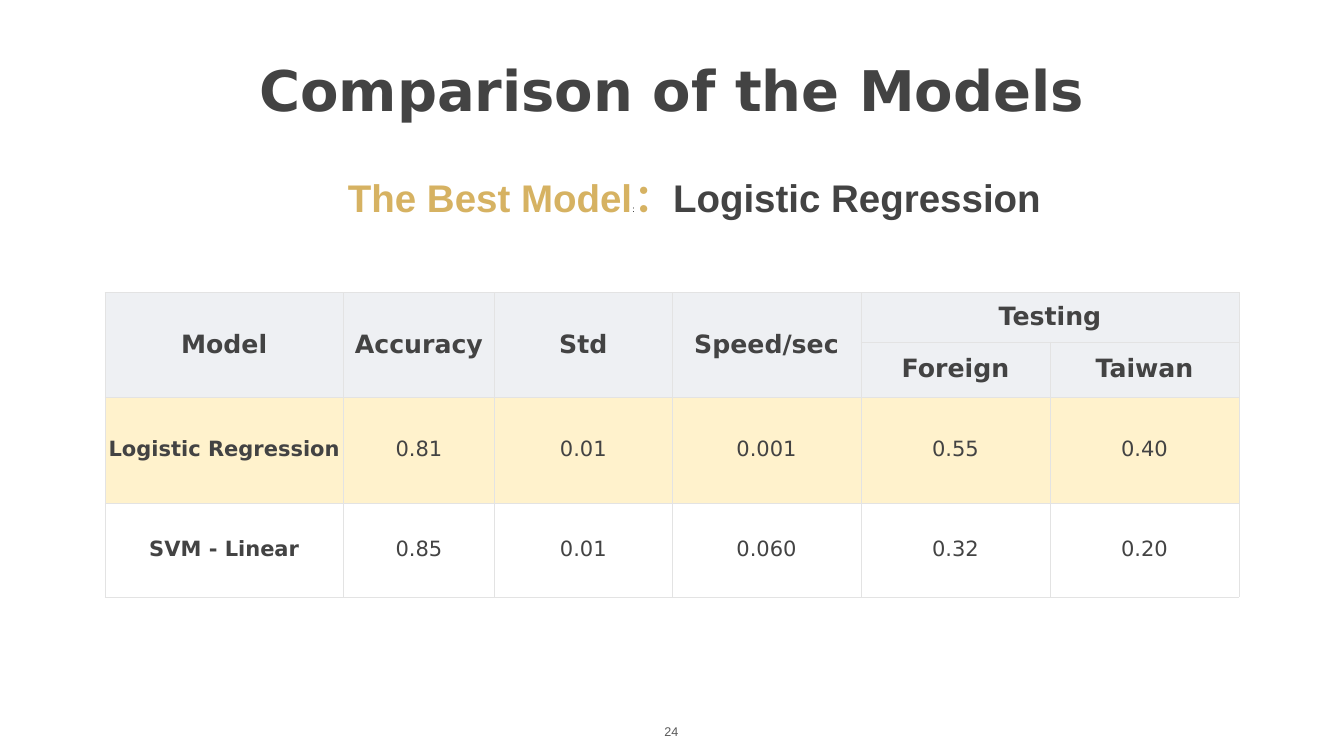
"""Build the model comparison slide with its results table."""
from dataclasses import dataclass

from lxml import etree
from pptx import Presentation
from pptx.dml.color import RGBColor
from pptx.enum.text import MSO_ANCHOR, MSO_AUTO_SIZE, PP_ALIGN
from pptx.oxml.ns import qn
from pptx.util import Pt

CENTER = PP_ALIGN.CENTER
MIDDLE, BOTTOM = MSO_ANCHOR.MIDDLE, MSO_ANCHOR.BOTTOM
NO_AUTOFIT = MSO_AUTO_SIZE.NONE
TITLE_ONLY = 5
SIDES = ("L", "R", "T", "B")


@dataclass(frozen=True)
class Theme:
    ink: str = "434343"
    gold: str = "D6B262"
    black: str = "000000"
    gray: str = "595959"
    header_fill: str = "EEF0F3"
    best_fill: str = "FFF2CC"
    border: str = "E3E3E3"
    heading_font: str = "DejaVu Sans"
    text_font: str = "Arial"
    title_size: int = 80
    subtitle_size: int = 55
    header_size: int = 36
    cell_size: int = 30
    number_size: int = 18
    small_size: int = 12
    inset: float = 4.5
    thick: float = 1.5
    thin: float = 0.75


class SlideBuilder:
    def __init__(self, slide, theme):
        self.slide = slide
        self.theme = theme

    def add_span(self, para, text, size, color, font, bold=False):
        span = para.add_run()
        span.text = text
        formats = {"size": Pt(size), "name": font, "bold": bold}
        for name, value in formats.items():
            setattr(span.font, name, value)
        span.font.color.rgb = RGBColor.from_string(color)

    def inset(self, target):
        for side in ("left", "top", "right", "bottom"):
            setattr(target, f"margin_{side}", Pt(self.theme.inset))

    def fill_box(self, box, place, spans, anchor=MIDDLE, wrap=True):
        for name, value in zip(("left", "top", "width", "height"), place):
            setattr(box, name, Pt(value))
        frame = box.text_frame
        self.inset(frame)
        formats = {"word_wrap": wrap, "auto_size": NO_AUTOFIT, "vertical_anchor": anchor}
        for name, value in formats.items():
            setattr(frame, name, value)
        para = frame.paragraphs[0]
        para.alignment = CENTER
        for span in spans:
            self.add_span(para, *span)

    def title(self, place, spans):
        self.fill_box(self.slide.shapes.title, place, spans)

    def text(self, place, spans, **options):
        box = self.slide.shapes.add_textbox(0, 0, 0, 0)
        self.fill_box(box, place, spans, **options)

    def borders(self, cell, widths):
        properties = cell._tc.get_or_add_tcPr()
        for side, width in zip(SIDES, widths):
            line = etree.SubElement(properties, qn(f"a:ln{side}"), w=str(Pt(width)))
            solid = etree.SubElement(line, qn("a:solidFill"))
            etree.SubElement(solid, qn("a:srgbClr"), val=self.theme.border)

    def cell(self, cell, text, size, bold, fill, widths):
        self.borders(cell, widths)
        if fill:
            cell.fill.solid()
            cell.fill.fore_color.rgb = RGBColor.from_string(fill)
        else:
            cell.fill.background()
        self.inset(cell)
        cell.vertical_anchor = MIDDLE
        para = cell.text_frame.paragraphs[0]
        para.alignment = CENTER
        para.line_spacing = 0.9
        if text:
            self.add_span(para, text, size, self.theme.ink, self.theme.heading_font, bold)

    def table(self, left, top, columns, heights, rows, fills, merges):
        theme = self.theme
        table = self.slide.shapes.add_table(
            len(rows), len(columns), Pt(left), Pt(top), Pt(sum(columns)), Pt(sum(heights))
        ).table
        table.first_row = table.horz_banding = False
        for column, width in zip(table.columns, columns):
            column.width = Pt(width)
        for row, height in zip(table.rows, heights):
            row.height = Pt(height)
        for r, (texts, fill) in enumerate(zip(rows, fills)):
            header = fill == theme.header_fill
            size = theme.header_size if header else theme.cell_size
            width = theme.thick if header else theme.thin
            top_width = theme.thick if fill else theme.thin
            for c, text in enumerate(texts):
                self.cell(table.cell(r, c), text, size, header or c == 0, fill,
                          (width, width, top_width, width))
        for start, end in merges:
            table.cell(*start).merge(table.cell(*end))


def main():
    theme = Theme()
    deck = Presentation()
    deck.slide_width, deck.slide_height = Pt(1920), Pt(1080)
    page = SlideBuilder(deck.slides.add_slide(deck.slide_layouts[TITLE_ONLY]), theme)

    page.table(
        150, 418.5,
        columns=(340.5, 216, 253.5, 270, 270, 270),
        heights=(70.5, 78.5, 151, 134.5),
        rows=(
            ("Model", "Accuracy", "Std", "Speed/sec", "Testing", ""),
            ("", "", "", "", "Foreign", "Taiwan"),
            ("Logistic Regression", "0.81", "0.01", "0.001", "0.55", "0.40"),
            ("SVM - Linear", "0.85", "0.01", "0.060", "0.32", "0.20"),
        ),
        fills=(theme.header_fill, theme.header_fill, theme.best_fill, None),
        merges=[((0, c), (1, c)) for c in range(4)] + [((0, 4), (0, 5))],
    )
    page.text((484, 244, 1016, 75), [
        ("The Best Model", theme.subtitle_size, theme.gold, theme.text_font, True),
        (":", theme.small_size, theme.black, theme.text_font),
        ("：", theme.subtitle_size, theme.gold, theme.text_font, True),
        ("Logistic Regression", theme.subtitle_size, theme.ink, theme.text_font, True),
    ])
    page.title((150, 75, 1620, 105), [
        ("Comparison of the Models", theme.title_size, theme.ink, theme.heading_font, True),
    ])
    page.text((944.5, 1030, 29, 30), [
        ("24", theme.number_size, theme.gray, theme.text_font),
    ], anchor=BOTTOM, wrap=False)
    deck.save("out.pptx")


if __name__ == "__main__":
    main()
